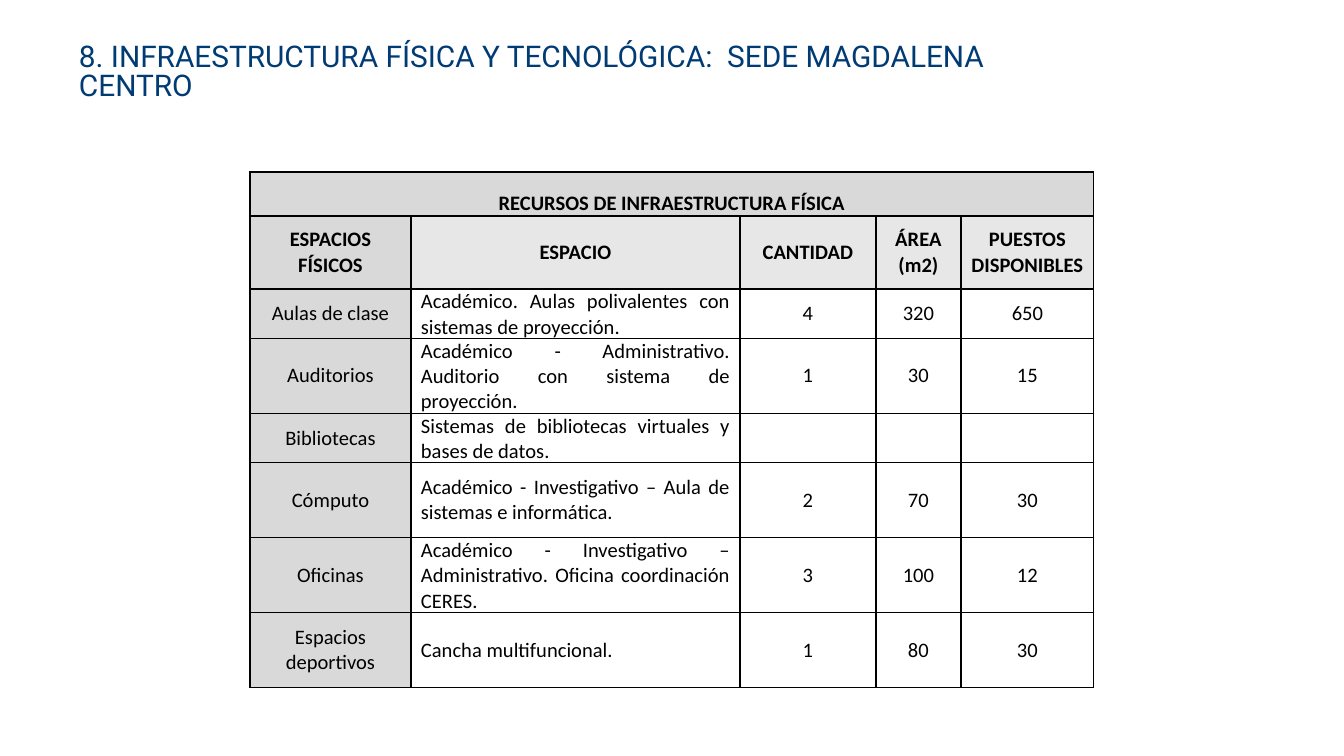
"""Build the slide on the physical infrastructure of the Magdalena Centro site."""

import copy
import dataclasses
import typing

import lxml.etree
import pptx
import pptx.dml.color
import pptx.enum.text
import pptx.oxml.ns
import pptx.util

RGBColor = pptx.dml.color.RGBColor
ALIGN = pptx.enum.text.PP_ALIGN
ANCHOR = pptx.enum.text.MSO_ANCHOR
qn = pptx.oxml.ns.qn

NAVY = RGBColor(0x00, 0x3B, 0x74)
BLACK = RGBColor(0x00, 0x00, 0x00)
GRAY = RGBColor(0xD9, 0xD9, 0xD9)
LIGHT_GRAY = RGBColor(0xE7, 0xE7, 0xE7)

SLIDE_W, SLIDE_H = 1344, 756
EMU_PER_PX = 9144000 / SLIDE_W
COLUMNS = (161, 329, 136, 85, 133)
BORDER = pptx.util.Pt(0.75)


@dataclasses.dataclass
class Row:
    height: int
    texts: tuple[str, ...]


TITLE = "8. INFRAESTRUCTURA FÍSICA Y TECNOLÓGICA:  SEDE MAGDALENA CENTRO"
BANNER = Row(44, ("RECURSOS DE INFRAESTRUCTURA FÍSICA",))
HEADER = Row(73, ("ESPACIOS FÍSICOS", "ESPACIO", "CANTIDAD", "ÁREA\n(m2)", "PUESTOS DISPONIBLES"))
SPACES = (
    Row(38, ("Aulas de clase", "Académico. Aulas polivalentes con sistemas de proyección.", "4", "320", "650")),
    Row(75, ("Auditorios", "Académico - Administrativo. Auditorio con sistema de proyección.", "1", "30", "15")),
    Row(38, ("Bibliotecas", "Sistemas de bibliotecas virtuales y bases de datos.", "", "", "")),
    Row(75, ("Cómputo", "Académico - Investigativo – Aula de sistemas e informática.", "2", "70", "30")),
    Row(75, ("Oficinas", "Académico - Investigativo – Administrativo. Oficina coordinación CERES.", "3", "100", "12")),
    Row(75, ("Espacios deportivos", "Cancha multifuncional.", "1", "80", "30")),
)


def px(n: int) -> int:
    """Turn pixels into EMU."""
    return round(n * EMU_PER_PX)


def write(tf: typing.Any, text: str, *, font: str = "Calibri", size: int = 11,
          color: RGBColor = BLACK, bold: bool = False,
          align: ALIGN = ALIGN.CENTER, spacing: float = 1.0) -> None:
    """Fill a text frame with one formatted paragraph."""
    p = tf.paragraphs[0]
    p.text = text
    p.alignment = align
    p.line_spacing = spacing
    for r in p.runs:
        r.font.name = font
        r.font.size = pptx.util.Pt(size)
        r.font.bold = bold
        r.font.color.rgb = color
    for br in p._p.findall(qn("a:br")):
        br.append(copy.deepcopy(p.runs[0]._r.rPr))


def style_cell(cell: typing.Any, fill: RGBColor | None, margin: int, anchor: ANCHOR) -> None:
    """Set the margins, borders and fill of a cell."""
    cell.margin_left = cell.margin_right = px(margin)
    cell.margin_top = cell.margin_bottom = 0
    cell.vertical_anchor = anchor
    tcPr = cell._tc.get_or_add_tcPr()
    for side in ("a:lnL", "a:lnR", "a:lnT", "a:lnB"):
        ln = lxml.etree.SubElement(tcPr, qn(side), w=str(BORDER))
        solid = lxml.etree.SubElement(ln, qn("a:solidFill"))
        lxml.etree.SubElement(solid, qn("a:srgbClr"), val=str(BLACK))
    if fill is None:
        cell.fill.background()
    else:
        cell.fill.solid()
        cell.fill.fore_color.rgb = fill


def add_title(s: typing.Any) -> None:
    """Add the slide title."""
    sp = s.shapes.add_textbox(px(66), px(32), px(980), px(85))
    tf = sp.text_frame
    tf.word_wrap = True
    tf.auto_size = pptx.enum.text.MSO_AUTO_SIZE.SHAPE_TO_FIT_TEXT
    tf.margin_left = tf.margin_right = tf.margin_top = tf.margin_bottom = px(13)
    write(tf, TITLE, font="Roboto", size=16, color=NAVY, align=ALIGN.LEFT, spacing=0.8)


def add_spaces_table(s: typing.Any) -> None:
    """Add the table of physical spaces."""
    rows = (BANNER, HEADER, *SPACES)
    height = sum(row.height for row in rows)
    table = s.shapes.add_table(len(rows), len(COLUMNS), px(250), px(172),
                               px(sum(COLUMNS)), px(height)).table
    table.first_row = table.horz_banding = False
    for column, width in zip(table.columns, COLUMNS):
        column.width = px(width)
    for table_row, row in zip(table.rows, rows):
        table_row.height = px(row.height)

    for cell in table.rows[0].cells:
        style_cell(cell, GRAY, 3, ANCHOR.BOTTOM)
    table.cell(0, 0).merge(table.cell(0, len(COLUMNS) - 1))
    write(table.cell(0, 0).text_frame, BANNER.texts[0], bold=True, spacing=1.15)

    for i, row in enumerate(rows[1:], start=1):
        is_header = row is HEADER
        for j, text in enumerate(row.texts):
            cell = table.cell(i, j)
            fill = GRAY if j == 0 else LIGHT_GRAY if is_header else None
            justified = j == 1 and not is_header
            style_cell(cell, fill, 10, ANCHOR.MIDDLE)
            write(cell.text_frame, text, bold=is_header,
                  align=ALIGN.JUSTIFY if justified else ALIGN.CENTER)


def main() -> None:
    """Build and save the slide."""
    prs = pptx.Presentation()
    prs.slide_width, prs.slide_height = px(SLIDE_W), px(SLIDE_H)
    s = prs.slides.add_slide(prs.slide_layouts[6])
    add_title(s)
    add_spaces_table(s)
    prs.save("out.pptx")


if __name__ == "__main__":
    main()
